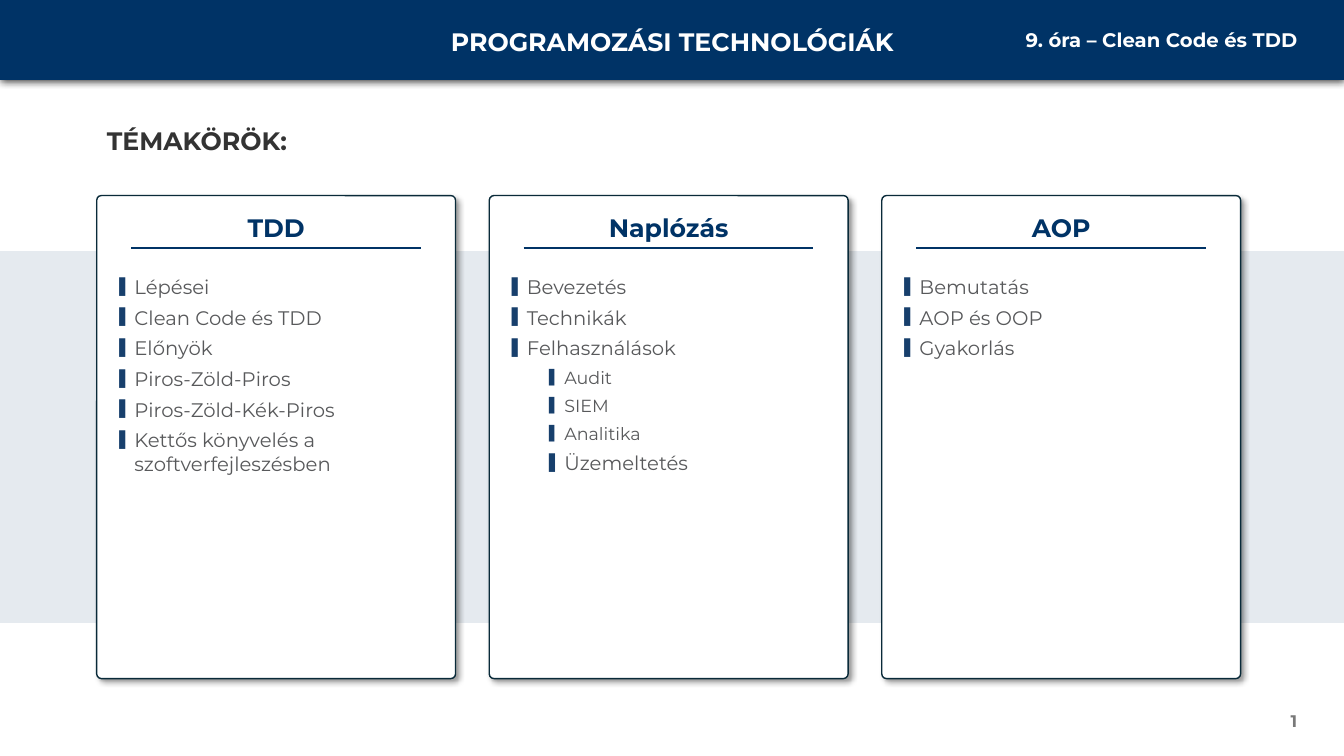
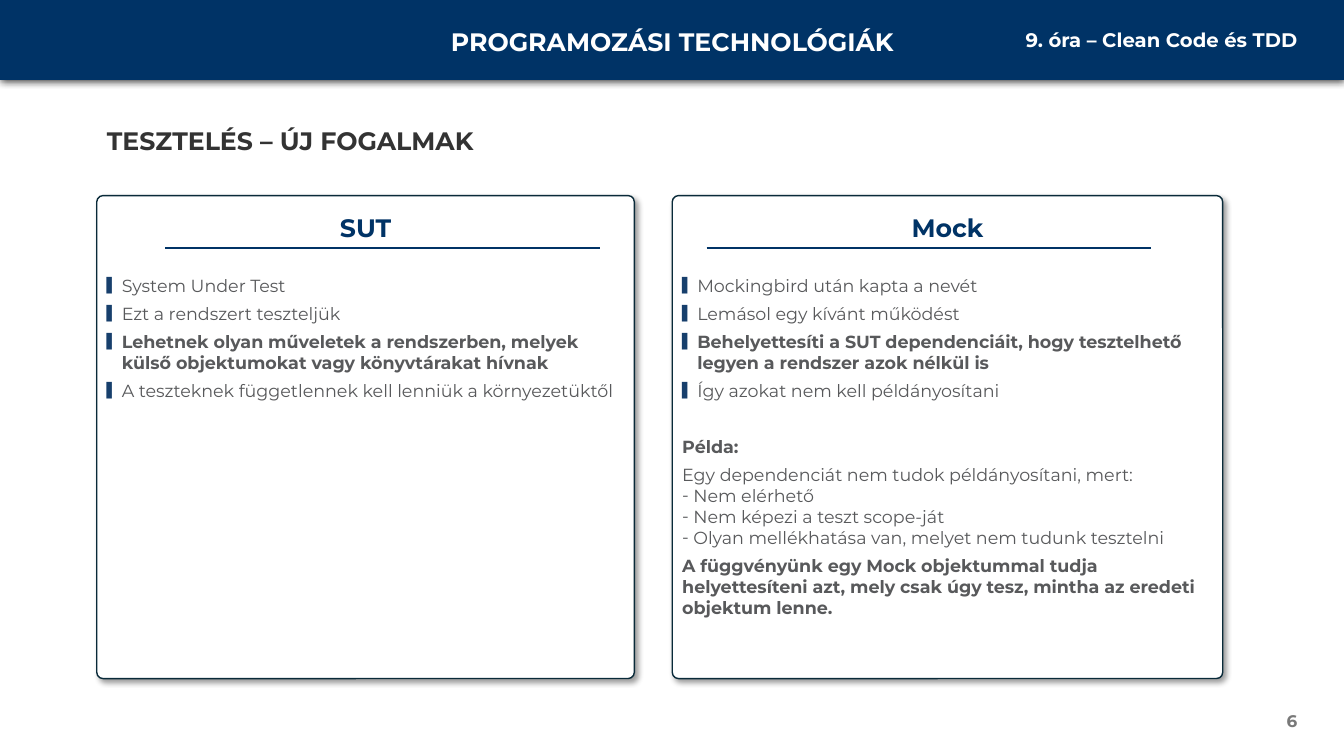
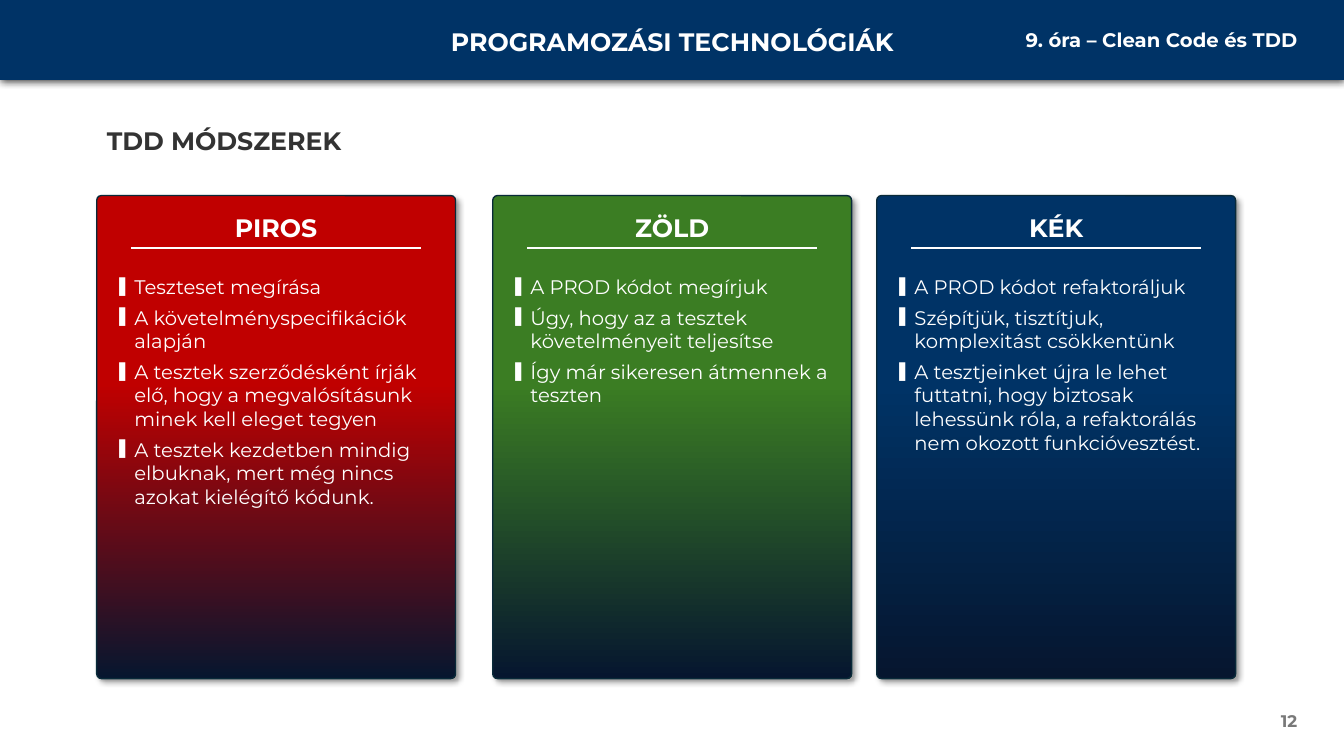
from lxml import etree
from pptx import Presentation
from pptx.dml.color import RGBColor
from pptx.enum.dml import MSO_LINE
from pptx.enum.shapes import MSO_CONNECTOR, MSO_SHAPE
from pptx.enum.text import MSO_ANCHOR, MSO_AUTO_SIZE, PP_ALIGN
from pptx.oxml.ns import qn
from pptx.util import Pt

# Shared style
COLORS = {
    "navy": "003366", "night": "06162F", "outline": "092A39", "marker": "173F6C",
    "white": "FFFFFF", "black": "000000", "heading": "333333", "body": "58595B",
    "number": "797979", "red": "C00000", "green": "3B7D23",
}
FONT = "Montserrat"
PAGE_WIDTH, PAGE_HEIGHT = 960, 540
CARD_TOP, CARD_HEIGHT, CARD_WIDTH = 139.7, 345, 256.3
LEFT = 69.1
COURSE = "PROGRAMOZÁSI TECHNOLÓGIÁK"
LESSON = "9. óra – Clean Code és TDD"

# Paragraph kinds: bullet character, margin, hanging indent, spacing, format
KINDS = {
    "item": {"bullet": "▌", "margin": 10.8, "hang": 10.8},
    "strong": {"bullet": "▌", "margin": 10.8, "hang": 10.8, "bold": True},
    "sub": {"bullet": "▌", "margin": 37.5, "hang": 10.8, "level": 1, "size": 12.5},
    "large sub": {"bullet": "▌", "margin": 37.5, "hang": 10.8, "level": 1},
    "label": {"bold": True, "before": 23},
    "lead": {"after": 0},
    "dash": {"bullet": "-", "margin": 8, "hang": 8, "before": 0, "after": 0},
    "closing": {"bold": True, "before": 5},
}


def set_values(target, **values):
    for name, value in values.items():
        setattr(target, name, value)


def rgb(color):
    return RGBColor.from_string(COLORS[color])


def add_element(parent, tag, **attributes):
    element = etree.SubElement(parent, qn(tag))
    for name, value in attributes.items():
        element.set(name, str(value))
    return element


class Lesson:
    def __init__(self):
        self.deck = Presentation()
        set_values(self.deck, slide_width=Pt(PAGE_WIDTH), slide_height=Pt(PAGE_HEIGHT))
        self.page = None

    def new_page(self, title, number):
        self.page = self.deck.slides.add_slide(self.deck.slide_layouts[5])
        # Header band, heading and page number
        band = self.box(0, 0, PAGE_WIDTH, 57, "navy")
        self.shadow(band, 80, 6, 0, 90)
        self.text(COURSE, 292.3, 15.1, 375.8, 28.8, "white", align=PP_ALIGN.CENTER)
        self.text(LESSON, 690.5, 16.6, 243.4, 24.5, "white", 14, PP_ALIGN.RIGHT)
        self.text(title, LEFT, 85.7, 599, 28.8, "heading", box=self.page.shapes.title)
        self.text(number, 717.8, 500.4, 216, 28.8, "number", 12, PP_ALIGN.RIGHT,
                  MSO_ANCHOR.MIDDLE)

    def box(self, left, top, width, height, color, preset=MSO_SHAPE.RECTANGLE):
        box = self.page.shapes.add_shape(preset, Pt(left), Pt(top), Pt(width), Pt(height))
        box.shadow.inherit = False
        box.fill.solid()
        box.fill.fore_color.rgb = rgb(color)
        box.line.fill.background()
        return box

    def tint(self, top, height):
        box = self.box(0, top, PAGE_WIDTH, height, "navy")
        color = box.fill._xPr.find(qn("a:solidFill"))[0]
        add_element(color, "a:alpha", val=10000)

    def shadow(self, box, opacity, blur, distance, angle):
        effects = box._element.spPr.find(qn("a:effectLst"))
        outer = add_element(effects, "a:outerShdw", blurRad=Pt(blur), dist=Pt(distance),
                            dir=angle * 60000, algn="ctr", rotWithShape=0)
        color = add_element(outer, "a:srgbClr", val=COLORS["black"])
        add_element(color, "a:alpha", val=opacity * 1000)

    def format_span(self, span, color, size, bold):
        set_values(span.font, name=FONT, size=Pt(size), bold=bold)
        span.font.color.rgb = rgb(color)

    def text(self, words, left, top, width, height, color, size=18,
             align=PP_ALIGN.LEFT, anchor=MSO_ANCHOR.TOP, box=None):
        box = box or self.page.shapes.add_textbox(0, 0, 0, 0)
        set_values(box, left=Pt(left), top=Pt(top), width=Pt(width), height=Pt(height))
        set_values(box.text_frame, word_wrap=True, vertical_anchor=anchor,
                   auto_size=MSO_AUTO_SIZE.NONE)
        para = box.text_frame.paragraphs[0]
        para.alignment = align
        span = para.add_run()
        span.text = words
        self.format_span(span, color, size, True)

    def rule(self, start, end, color):
        y = Pt(177.3)
        line = self.page.shapes.add_connector(MSO_CONNECTOR.STRAIGHT, Pt(start), y, Pt(end), y)
        set_values(line.line, width=Pt(1.5), dash_style=MSO_LINE.SOLID)
        line.line.color.rgb = rgb(color)
        add_element(line._element.spPr, "a:effectLst")

    def bullet(self, para, kind, color):
        properties = para._p.get_or_add_pPr()
        properties.set("marL", str(Pt(kind["margin"])))
        properties.set("indent", str(-Pt(kind["hang"])))
        marker = kind["bullet"] == "▌"
        holder = add_element(properties, "a:buClr")
        add_element(holder, "a:srgbClr", val=COLORS[color if marker else "body"])
        add_element(properties, "a:buSzPct", val=80000 if marker else 100000)
        add_element(properties, "a:buFont", typeface=FONT)
        add_element(properties, "a:buChar", char=kind["bullet"])

    def items(self, entries, left, width, size, color, marker):
        box = self.page.shapes.add_textbox(Pt(left), Pt(193), Pt(width), Pt(265.7))
        box.text_frame.word_wrap = True
        for index, entry in enumerate(entries):
            name, words = entry if isinstance(entry, tuple) else ("item", entry)
            kind = KINDS[name]
            para = box.text_frame.add_paragraph() if index else box.text_frame.paragraphs[0]
            if "bullet" in kind:
                self.bullet(para, kind, marker)
            before = kind.get("before", 3) if index else 0
            set_values(para, level=kind.get("level", 0), space_before=Pt(before),
                       space_after=Pt(kind.get("after", 2)))
            span = para.add_run()
            span.text = words
            self.format_span(span, color, kind.get("size", size), kind.get("bold", False))

    def card(self, left, heading, entries, width=CARD_WIDTH, size=14, inset=9,
             rule_insets=(24.6, 25), gradient=None):
        card = self.box(left, CARD_TOP, width, CARD_HEIGHT, "white",
                        MSO_SHAPE.ROUNDED_RECTANGLE)
        card.adjustments[0] = 0.013
        card.line.width = Pt(1)
        card.line.color.rgb = rgb("outline")
        self.shadow(card, 40, 4, 3, 45)
        accent, color, marker = "navy", "body", "marker"
        if gradient:
            accent = color = marker = "white"
            card.fill.gradient()
            card.fill.gradient_angle = 270
            for stop, (position, shade) in zip(card.fill.gradient_stops,
                                               ((0.39, gradient), (1, "night"))):
                stop.position = position
                stop.color.rgb = rgb(shade)
        self.text(heading, left, 148.3, width, 28.8, accent, align=PP_ALIGN.CENTER)
        self.rule(left + rule_insets[0], left + width - rule_insets[1], accent)
        self.items(entries, left + inset, width - 2 * inset, size, color, marker)


TOPICS = [
    ("TDD", ["Lépései", "Clean Code és TDD", "Előnyök", "Piros-Zöld-Piros",
             "Piros-Zöld-Kék-Piros", "Kettős könyvelés a szoftverfejleszésben"]),
    ("Naplózás", ["Bevezetés", "Technikák", "Felhasználások", ("sub", "Audit"),
                  ("sub", "SIEM"), ("sub", "Analitika"), ("large sub", "Üzemeltetés")]),
    ("AOP", ["Bemutatás", "AOP és OOP", "Gyakorlás"]),
]
SUT = [
    "System Under Test",
    "Ezt a rendszert teszteljük",
    ("strong", "Lehetnek olyan műveletek a rendszerben, melyek külső objektumokat "
               "vagy könyvtárakat hívnak"),
    "A teszteknek függetlennek kell lenniük a környezetüktől",
]
MOCK = [
    "Mockingbird után kapta a nevét",
    "Lemásol egy kívánt működést",
    ("strong", "Behelyettesíti a SUT dependenciáit, hogy tesztelhető legyen a rendszer "
               "azok nélkül is"),
    "Így azokat nem kell példányosítani",
    ("label", "Példa:"),
    ("lead", "Egy dependenciát nem tudok példányosítani, mert:"),
    ("dash", "Nem elérhető"),
    ("dash", "Nem képezi a teszt scope-ját"),
    ("dash", "Olyan mellékhatása van, melyet nem tudunk tesztelni"),
    ("closing", "A függvényünk egy Mock objektummal tudja helyettesíteni azt, mely csak "
                "úgy tesz, mintha az eredeti objektum lenne."),
]
METHODS = [
    (LEFT, "PIROS", "red", [
        "Teszteset megírása",
        "A követelményspecifikációk alapján",
        "A tesztek szerződésként írják elő, hogy a megvalósításunk minek kell eleget tegyen",
        "A tesztek kezdetben mindig elbuknak, mert még nincs azokat kielégítő kódunk."]),
    (352, "ZÖLD", "green", [
        "A PROD kódot megírjuk",
        "Úgy, hogy az a tesztek követelményeit teljesítse",
        "Így már sikeresen átmennek a teszten"]),
    (626.3, "KÉK", "navy", [
        "A PROD kódot refaktoráljuk",
        "Szépítjük, tisztítjuk, komplexitást csökkentünk",
        "A tesztjeinket újra le lehet futtatni, hogy biztosak lehessünk róla, "
        "a refaktorálás nem okozott funkcióvesztést."]),
]


def main():
    lesson = Lesson()

    # Topics
    lesson.new_page("TÉMAKÖRÖK:", "1")
    lesson.tint(179.3, 265.7)
    for column, (heading, entries) in enumerate(TOPICS):
        lesson.card(LEFT + column * 280.4, heading, entries)

    # New testing terms
    lesson.new_page("TESZTELÉS – ÚJ FOGALMAK", "6")
    lesson.card(LEFT, "SUT", SUT, 384, 12.5, 0, (49, 24.6))
    lesson.card(480.2, "Mock", MOCK, 393.2, 12.5, 0, (24.6, 51))

    # Method steps
    lesson.new_page("TDD MÓDSZEREK", "12")
    for left, heading, gradient, entries in METHODS:
        lesson.card(left, heading, entries, gradient=gradient)

    lesson.deck.save("out.pptx")


if __name__ == "__main__":
    main()
